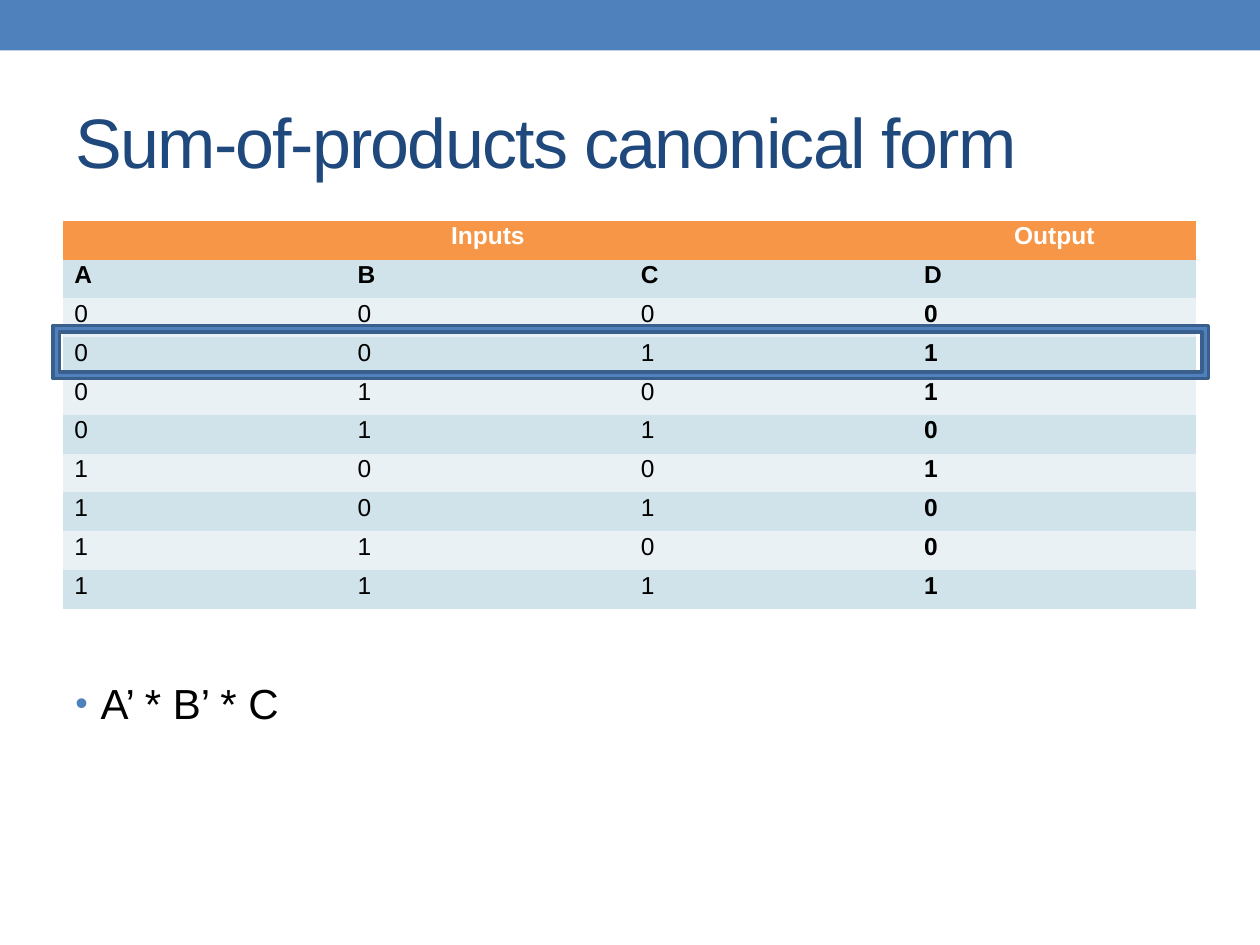
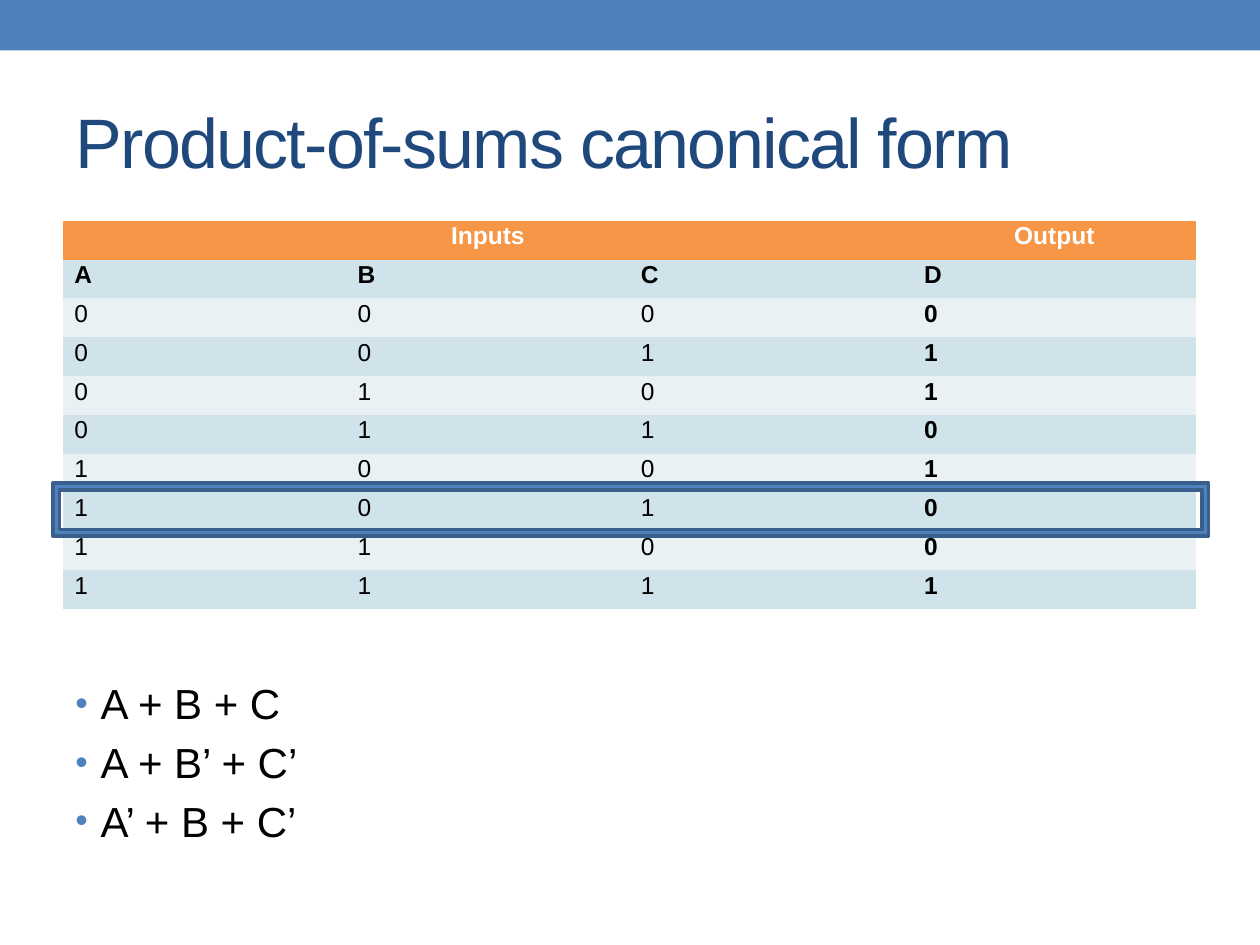
"""Build two slides on the canonical forms of a truth table."""
from itertools import product

from lxml.etree import SubElement
from pptx import Presentation
from pptx.dml.color import RGBColor
from pptx.enum.shapes import MSO_SHAPE
from pptx.enum.text import MSO_ANCHOR, MSO_AUTO_SIZE, PP_ALIGN
from pptx.oxml.ns import qn
from pptx.util import Cm, Pt

BLUE = RGBColor(0x4F, 0x81, 0xBD)
EDGE = RGBColor(0x3A, 0x5F, 0x8C)
NAVY = RGBColor(0x1F, 0x49, 0x7D)
ORANGE = RGBColor(0xF7, 0x96, 0x46)
DARK = RGBColor(0xD0, 0xE3, 0xEA)
LIGHT = RGBColor(0xE9, 0xF1, 0xF5)
WHITE = RGBColor(0xFF, 0xFF, 0xFF)
BLACK = RGBColor(0, 0, 0)

WIDE, HIGH = Cm(25.4), Cm(19.05)
LEFT, SPAN = Cm(1.27), Cm(22.86)
ROW, COL = Cm(0.782), Cm(5.71)
PLAIN = "{2D5ABB26-0587-4C30-8999-92F81FD0307C}"

TITLE = {"name": "Arial", "size": Pt(40)}
BODY = {"name": "Arial", "size": Pt(24)}
CELL = {"name": "Arial", "size": Pt(14)}
INSET = {"margin_left": Cm(0.23), "margin_right": Cm(0.23),
         "margin_top": 0, "margin_bottom": 0}

BITS = [(a, b, c, a ^ b ^ c) for a, b, c in product((0, 1), repeat=3)]
ROWS = [("Inputs", "", "", "Output"), tuple("ABCD"), *BITS]

SLIDES = [
    ("Sum-of-products canonical form", Cm(6.56), ["A’ * B’ * C"]),
    ("Product-of-sums canonical form", Cm(9.74),
     ["A + B + C", "A + B’ + C’", "A’ + B + C’"]),
]


def apply(item, form):
    """Set each format value on the item."""
    for name, value in form.items():
        setattr(item, name, value)


def write(para, text, form, hue):
    """Add a formatted run to a paragraph and return it."""
    run = para.add_run()
    run.text = text
    apply(run.font, form)
    run.font.color.rgb = hue
    return run


def draw(slide, kind, box):
    """Add a flat blue preset shape."""
    shape = slide.shapes.add_shape(kind, *box)
    shape.shadow.inherit = False
    shape.fill.solid()
    shape.fill.fore_color.rgb = BLUE
    shape.line.fill.background()
    return shape


def head(slide, text):
    """Place the top band and the title."""
    draw(slide, MSO_SHAPE.RECTANGLE, (0, 0, WIDE, Cm(1.02)))
    title = slide.shapes.title
    apply(title, {"left": LEFT, "top": Cm(1.47),
                  "width": SPAN, "height": Cm(2.74)})
    apply(title.text_frame, {"vertical_anchor": MSO_ANCHOR.MIDDLE,
                             "auto_size": MSO_AUTO_SIZE.NONE,
                             "word_wrap": True})
    para = title.text_frame.paragraphs[0]
    para.alignment = PP_ALIGN.LEFT
    run = write(para, text, TITLE, NAVY)
    run.font._element.set("spc", "-100")


def bullet(para):
    """Give a paragraph a hanging blue bullet."""
    props = para._p.get_or_add_pPr()
    props.set("marL", str(Cm(0.51)))
    props.set("indent", str(-Cm(0.51)))
    space = SubElement(props, qn("a:spcBef"))
    SubElement(space, qn("a:spcPct"), val="20000")
    tint = SubElement(props, qn("a:buClr"))
    SubElement(tint, qn("a:srgbClr"), val=str(BLUE))
    SubElement(props, qn("a:buSzPct"), val="85000")
    SubElement(props, qn("a:buFont"), typeface="Arial")
    SubElement(props, qn("a:buChar"), char="•")


def terms(slide, lines):
    """List the terms below the table."""
    box = slide.shapes.add_textbox(LEFT, Cm(13.54), SPAN, Cm(4.45))
    frame = box.text_frame
    frame.word_wrap = True
    for num, line in enumerate(lines):
        para = frame.add_paragraph() if num else frame.paragraphs[0]
        bullet(para)
        write(para, line, BODY, BLACK)


def fill(cell, text, row, col):
    """Style one table cell by its row and column."""
    top = row == 0
    apply(cell, INSET)
    cell.fill.solid()
    cell.fill.fore_color.rgb = ORANGE if top else DARK if row % 2 else LIGHT
    para = cell.text_frame.paragraphs[0]
    apply(para, {"alignment": PP_ALIGN.CENTER if top else PP_ALIGN.LEFT,
                 "line_spacing": 1.07})
    if text:
        form = {**CELL, "bold": row < 2 or col == 3}
        write(para, text, form, WHITE if top else BLACK)


def truth(slide):
    """Add the truth table."""
    frame = slide.shapes.add_table(len(ROWS), 4, LEFT, Cm(4.45),
                                   COL * 4, ROW * len(ROWS))
    table = frame.table
    next(frame.element.iter(qn("a:tableStyleId"))).text = PLAIN
    for part in table.columns:
        part.width = COL
    for row, values in enumerate(ROWS):
        table.rows[row].height = ROW
        for col, value in enumerate(values):
            fill(table.cell(row, col), str(value), row, col)
    table.cell(0, 0).merge(table.cell(0, 2))


def mark(slide, top):
    """Frame the row in question."""
    shape = draw(slide, MSO_SHAPE.FRAME, (Cm(1.07), top, Cm(23.29), Cm(1.07)))
    shape.line.color.rgb = EDGE
    shape.line.width = Pt(2.08)


def main():
    """Build and save the deck."""
    deck = Presentation()
    apply(deck, {"slide_width": WIDE, "slide_height": HIGH})
    for title, top, lines in SLIDES:
        slide = deck.slides.add_slide(deck.slide_layouts[5])
        head(slide, title)
        terms(slide, lines)
        truth(slide)
        mark(slide, top)
    deck.save("out.pptx")


if __name__ == "__main__":
    main()
